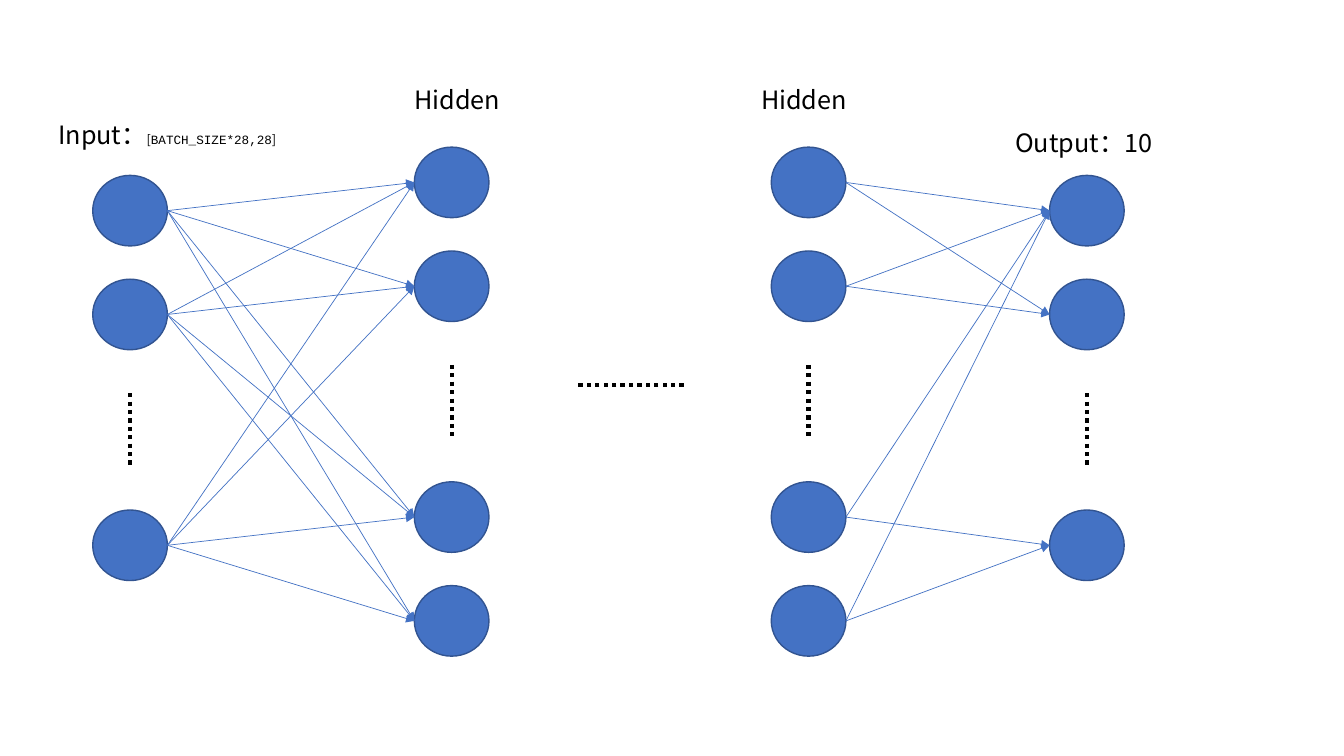
import dataclasses

import pptx
import pptx.dml.color
import pptx.enum.dml
import pptx.enum.shapes
import pptx.enum.text
import pptx.oxml.ns
import pptx.util
from lxml import etree


@dataclasses.dataclass(frozen=True)
class Theme:
    neuron: str = "4472C4"
    outline: str = "325491"
    ink: str = "000000"
    font: str = "Noto Sans CJK SC"
    code_font: str = "Courier New"
    label_size: float = 18
    shape_size: float = 9
    outline_width: float = 1
    link_width: float = 0.5
    dots_width: float = 3


THEME = Theme()
WIDTH, HEIGHT = 13.33, 7.5
NEURON_W, NEURON_H = 0.74, 0.7
LABEL_H = 0.4

# Column centres, and row centres counted from a layer's first neuron
INPUT_X, FIRST_HIDDEN_X, LAST_HIDDEN_X, OUTPUT_X = 1.29, 4.48, 8.02, 10.78
OUTER_TOP, HIDDEN_TOP = 2.09, 1.81
ROWS = (0, 1.03, 3.32, 4.35)
DOTS_START, DOTS_END = 1.81, 2.55


def rgb(value):
    return pptx.dml.color.RGBColor.from_string(value)


def add_line(slide, start, end, color, width):
    points = [pptx.util.Inches(v) for v in (*start, *end)]
    line = slide.shapes.add_connector(pptx.enum.shapes.MSO_CONNECTOR.STRAIGHT, *points)
    line.line.color.rgb = rgb(color)
    line.line.width = pptx.util.Pt(width)
    etree.SubElement(line._element.spPr, pptx.oxml.ns.qn("a:effectLst"))
    return line


def add_dots(slide, start, end):
    line = add_line(slide, start, end, THEME.ink, THEME.dots_width)
    line.line.dash_style = pptx.enum.dml.MSO_LINE.ROUND_DOT


def add_link(slide, source, target):
    """Draw an arrow from the right of one neuron to the left of another."""
    (x1, y1), (x2, y2) = source, target
    line = add_line(slide, (x1 + NEURON_W / 2, y1), (x2 - NEURON_W / 2, y2),
                    THEME.neuron, THEME.link_width)
    ln = line.line._get_or_add_ln()
    etree.SubElement(ln, pptx.oxml.ns.qn("a:tailEnd"), type="triangle")


def add_neuron(slide, x, y):
    box = (x - NEURON_W / 2, y - NEURON_H / 2, NEURON_W, NEURON_H)
    sp = slide.shapes.add_shape(pptx.enum.shapes.MSO_SHAPE.FLOWCHART_CONNECTOR,
                                *map(pptx.util.Inches, box))
    sp.shadow.inherit = False
    sp.fill.solid()
    sp.fill.fore_color.rgb = rgb(THEME.neuron)
    sp.line.color.rgb = rgb(THEME.outline)
    sp.line.width = pptx.util.Pt(THEME.outline_width)


def add_layer(slide, x, top, count):
    """Draw a column of neurons with its dots and return the neuron centres."""
    centres = [(x, top + row) for row in ROWS[:count]]
    for centre in centres:
        add_neuron(slide, *centre)
    add_dots(slide, (x, top + DOTS_START), (x, top + DOTS_END))
    return centres


def add_label(slide, left, top, width, *parts):
    """Write one line of (text, size, font) parts."""
    box = slide.shapes.add_textbox(*map(pptx.util.Inches, (left, top, width, LABEL_H)))
    tf = box.text_frame
    tf.word_wrap = True
    tf.auto_size = pptx.enum.text.MSO_AUTO_SIZE.SHAPE_TO_FIT_TEXT
    for text, size, font in parts:
        r = tf.paragraphs[0].add_run()
        r.text = text
        r.font.size = pptx.util.Pt(size)
        r.font.name = font
        r.font.color.rgb = rgb(THEME.ink)
        etree.SubElement(r.font._element, pptx.oxml.ns.qn("a:ea"), typeface=font)


def main():
    prs = pptx.Presentation()
    prs.slide_width = pptx.util.Inches(WIDTH)
    prs.slide_height = pptx.util.Inches(HEIGHT)
    slide = prs.slides.add_slide(prs.slide_layouts[6])

    inputs = add_layer(slide, INPUT_X, OUTER_TOP, 3)
    first_hidden = add_layer(slide, FIRST_HIDDEN_X, HIDDEN_TOP, 4)
    last_hidden = add_layer(slide, LAST_HIDDEN_X, HIDDEN_TOP, 4)
    outputs = add_layer(slide, OUTPUT_X, OUTER_TOP, 3)
    add_dots(slide, (6.78, 3.82), (5.72, 3.82))

    for target in first_hidden:
        for source in inputs:
            add_link(slide, source, target)
    for target, sources in zip(outputs, (last_hidden, last_hidden[:2], last_hidden[2:])):
        for source in sources:
            add_link(slide, source, target)

    big, small = THEME.label_size, THEME.shape_size
    add_label(slide, 0.48, 1.13, 2.67, ("Input：", big, THEME.font), ("[", small, THEME.font),
              ("BATCH_SIZE*28,28", small, THEME.code_font), ("]", small, THEME.font))
    for left in (4.01, 7.45):
        add_label(slide, left, 0.79, 1.15, ("Hidden", big, THEME.font))
    add_label(slide, 9.97, 1.21, 1.6, ("Output：10", big, THEME.font))

    prs.save("out.pptx")


if __name__ == "__main__":
    main()
